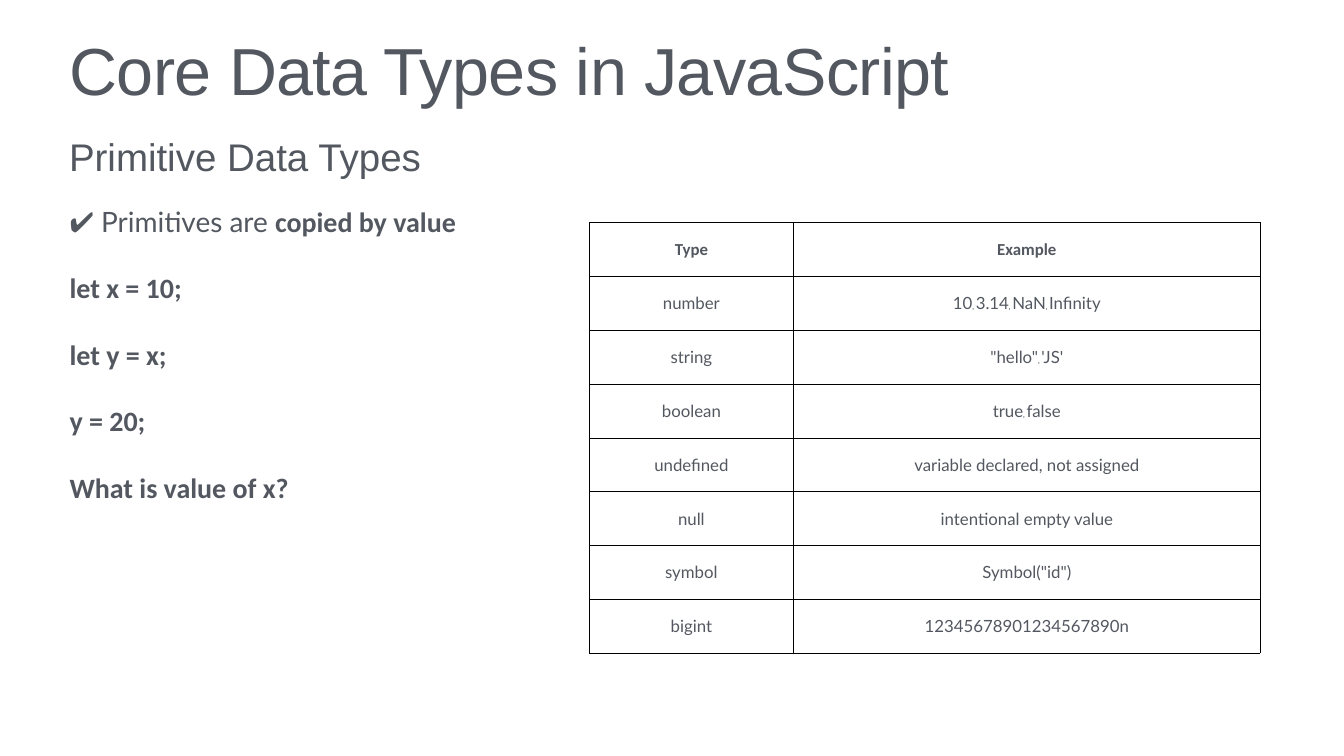
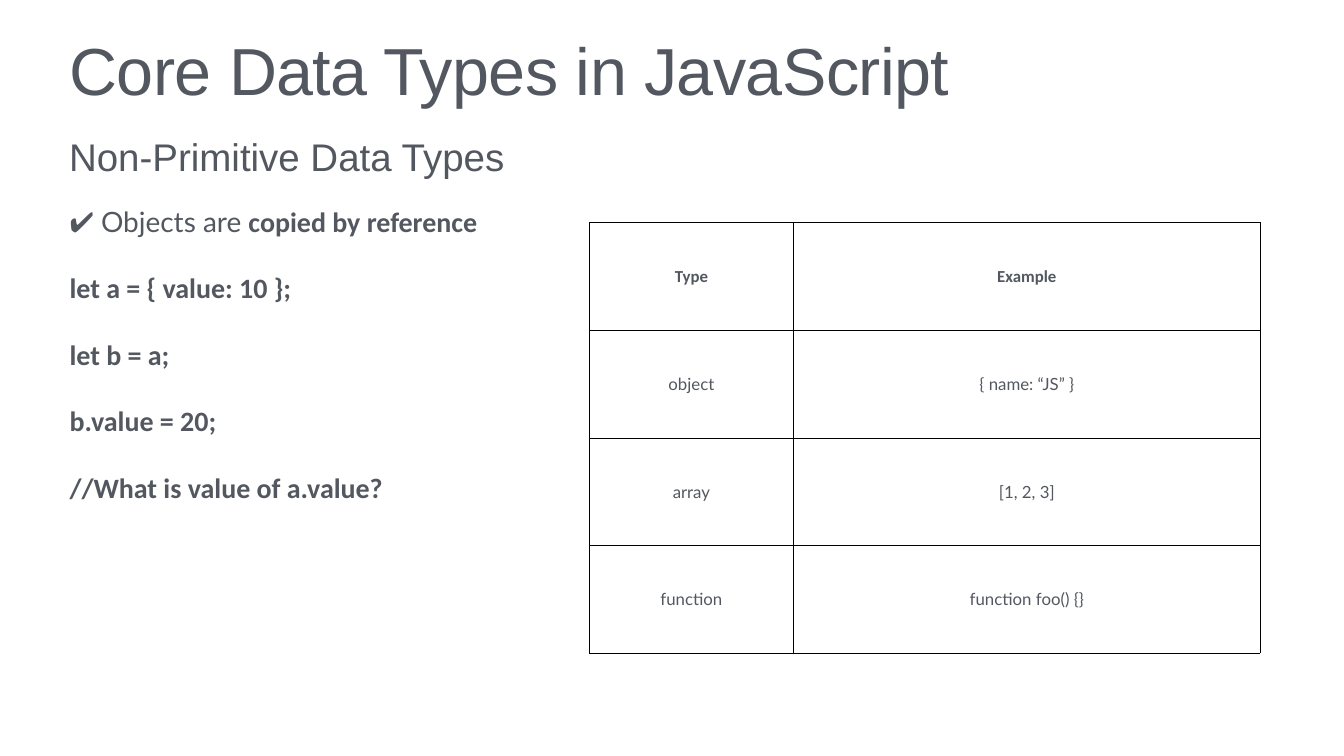
from dataclasses import dataclass

from lxml.etree import SubElement
from pptx import Presentation
from pptx.dml.color import RGBColor
from pptx.enum.text import MSO_ANCHOR as Anchor, MSO_AUTO_SIZE as AutoSize, PP_ALIGN as Align
from pptx.oxml.ns import qn
from pptx.presentation import Presentation as Deck
from pptx.slide import Slide
from pptx.table import _Cell as Cell
from pptx.text.text import Font, TextFrame
from pptx.util import Inches, Pt

# Shared look
SLIDE_WIDTH, SLIDE_HEIGHT = Inches(26.67), Inches(15)
GREY = RGBColor(0x53, 0x58, 0x60)
WHITE = RGBColor(0xFF, 0xFF, 0xFF)
BLACK = RGBColor(0x00, 0x00, 0x00)
HEADING_FONT, TEXT_FONT, STRONG_FONT, COMMA_FONT = "Arial", "Lato", "Calibri", "Cambria"
TITLE = "Core Data Types in JavaScript"
TABLE_HEADER = ("Type", "Example")
TYPE_COLUMN_SHARE = 0.3


@dataclass(frozen=True)
class Box:
    """A place on the slide, in percent of its width and height."""
    left: float
    top: float
    width: float
    height: float

    def place(self) -> tuple[int, int, int, int]:
        return (int(SLIDE_WIDTH * self.left / 100), int(SLIDE_HEIGHT * self.top / 100),
                int(SLIDE_WIDTH * self.width / 100), int(SLIDE_HEIGHT * self.height / 100))


@dataclass(frozen=True)
class TypeRow:
    name: str
    examples: tuple[str, ...]


@dataclass(frozen=True)
class TypesPage:
    subtitle: str
    subject: str
    copy_rule: str
    code: tuple[str, ...]
    rows: tuple[TypeRow, ...]


TITLE_BOX = Box(4.95, 4.6, 90.1, 12.33)
SUBTITLE_BOX = Box(4.95, 16.93, 90.1, 7.33)
BODY_BOX = Box(4.95, 26.6, 90.1, 64.6)
TABLE_BOX = Box(43.83, 29.47, 49.92, 56.93)

PAGES = (
    TypesPage(
        "Primitive Data Types", "✔ Primitives are ", "copied by value",
        ("let x = 10;", "let y = x;", "y = 20;", "What is value of x?"),
        (TypeRow("number", ("10", "3.14", "NaN", "Infinity")),
         TypeRow("string", ('"hello"', "'JS'")),
         TypeRow("boolean", ("true", "false")),
         TypeRow("undefined", ("variable declared, not assigned",)),
         TypeRow("null", ("intentional empty value",)),
         TypeRow("symbol", ('Symbol("id")',)),
         TypeRow("bigint", ("12345678901234567890n",)))),
    TypesPage(
        "Non-Primitive Data Types", "✔ Objects are ", "copied by reference",
        ("let a = { value: 10 };", "let b = a;", "b.value = 20;", "//What is value of a.value?"),
        (TypeRow("object", ("{ name: “JS” }",)),
         TypeRow("array", ("[1, 2, 3]",)),
         TypeRow("function", ("function foo() {}",)))),
)


def style_font(font: Font, name: str, size: float, bold: bool = False) -> None:
    font.name, font.size, font.bold = name, Pt(size), bold
    font.color.rgb = GREY


def set_frame(frame: TextFrame, inset: float, anchor: Anchor = Anchor.TOP) -> None:
    frame.word_wrap = True
    frame.auto_size = AutoSize.NONE
    frame.vertical_anchor = anchor
    frame.margin_left = frame.margin_right = Inches(inset)
    frame.margin_top = frame.margin_bottom = Inches(inset)


def add_title(slide: Slide) -> None:
    title = slide.shapes.title
    title.left, title.top, title.width, title.height = TITLE_BOX.place()
    set_frame(title.text_frame, 0.06)
    paragraph = title.text_frame.paragraphs[0]
    paragraph.alignment = Align.LEFT
    paragraph.line_spacing = 0.9
    run = paragraph.add_run()
    run.text = TITLE
    run._r.get_or_add_rPr().set("spc", "-90")
    style_font(paragraph.font, HEADING_FONT, 95)


def add_subtitle(slide: Slide, text: str) -> None:
    frame = slide.shapes.add_textbox(*SUBTITLE_BOX.place()).text_frame
    set_frame(frame, 0.05, Anchor.MIDDLE)
    frame.text = text
    style_font(frame.paragraphs[0].font, HEADING_FONT, 55)


def add_body(slide: Slide, page: TypesPage) -> None:
    frame = slide.shapes.add_textbox(*BODY_BOX.place()).text_frame
    set_frame(frame, 0.06)

    # Copy rule, with its end in bold
    rule = frame.paragraphs[0]
    for text, font_name, bold in ((page.subject, TEXT_FONT, False),
                                  (page.copy_rule, STRONG_FONT, True)):
        run = rule.add_run()
        run.text = text
        style_font(run.font, font_name, 40, bold)

    # Code lines
    for line in page.code:
        paragraph = frame.add_paragraph()
        paragraph.text = line
        paragraph.space_before = Pt(47)
        style_font(paragraph.font, STRONG_FONT, 40, bold=True)


def draw_borders(cell: Cell) -> None:
    properties = cell._tc.get_or_add_tcPr()
    for side in ("a:lnL", "a:lnR", "a:lnT", "a:lnB"):
        line = SubElement(properties, qn(side), w=str(Pt(1)))
        fill = SubElement(line, qn("a:solidFill"))
        SubElement(fill, qn("a:srgbClr"), val=str(BLACK))


def fill_cell(cell: Cell, values: tuple[str, ...], header: bool) -> None:
    draw_borders(cell)
    cell.fill.solid()
    cell.fill.fore_color.rgb = WHITE
    cell.vertical_anchor = Anchor.MIDDLE
    cell.margin_left = cell.margin_right = Inches(0.01)
    cell.margin_top = cell.margin_bottom = Inches(0.01)
    paragraph = cell.text_frame.paragraphs[0]
    paragraph.alignment = Align.CENTER
    style_font(paragraph.font, STRONG_FONT if header else TEXT_FONT, 24, header)
    for index, value in enumerate(values):
        if index:
            comma = paragraph.add_run()
            comma.text = ", "
            style_font(comma.font, COMMA_FONT, 12)
        paragraph.add_run().text = value


def add_types_table(slide: Slide, rows: tuple[TypeRow, ...]) -> None:
    left, top, width, height = TABLE_BOX.place()
    row_count = len(rows) + 1
    table = slide.shapes.add_table(row_count, 2, left, top, width, height).table
    table.first_row = table.horz_banding = False
    type_width = int(width * (TYPE_COLUMN_SHARE + 0.005))
    table.columns[0].width, table.columns[1].width = type_width, width - type_width
    for row in table.rows:
        row.height = height // row_count

    lines = [tuple((name,) for name in TABLE_HEADER)]
    lines += [((row.name,), row.examples) for row in rows]
    for row_index, line in enumerate(lines):
        for column_index, values in enumerate(line):
            fill_cell(table.cell(row_index, column_index), values, header=row_index == 0)


def add_page(presentation: Deck, page: TypesPage) -> None:
    slide = presentation.slides.add_slide(presentation.slide_layouts.get_by_name("Title Only"))
    add_title(slide)
    add_subtitle(slide, page.subtitle)
    add_body(slide, page)
    add_types_table(slide, page.rows)


def main() -> None:
    presentation = Presentation()
    presentation.slide_width, presentation.slide_height = SLIDE_WIDTH, SLIDE_HEIGHT
    for page in PAGES:
        add_page(presentation, page)
    presentation.save("out.pptx")


if __name__ == "__main__":
    main()
